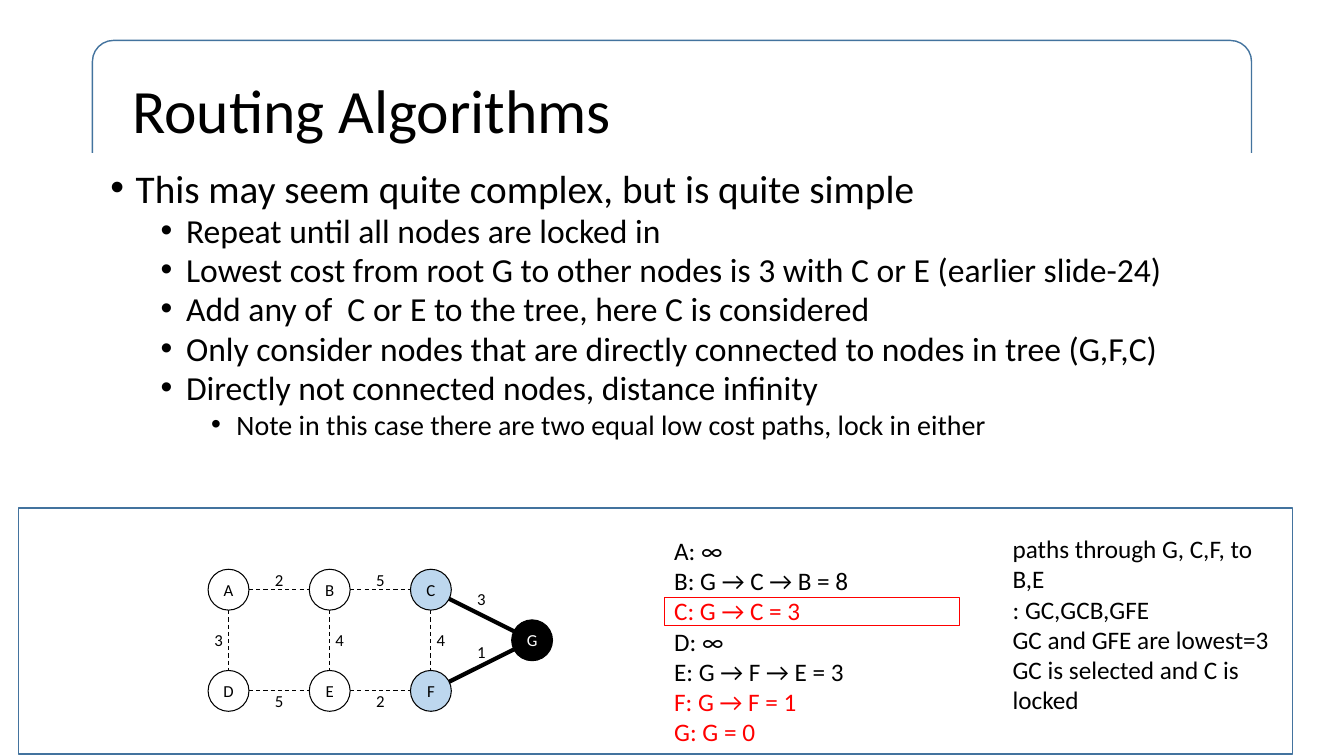
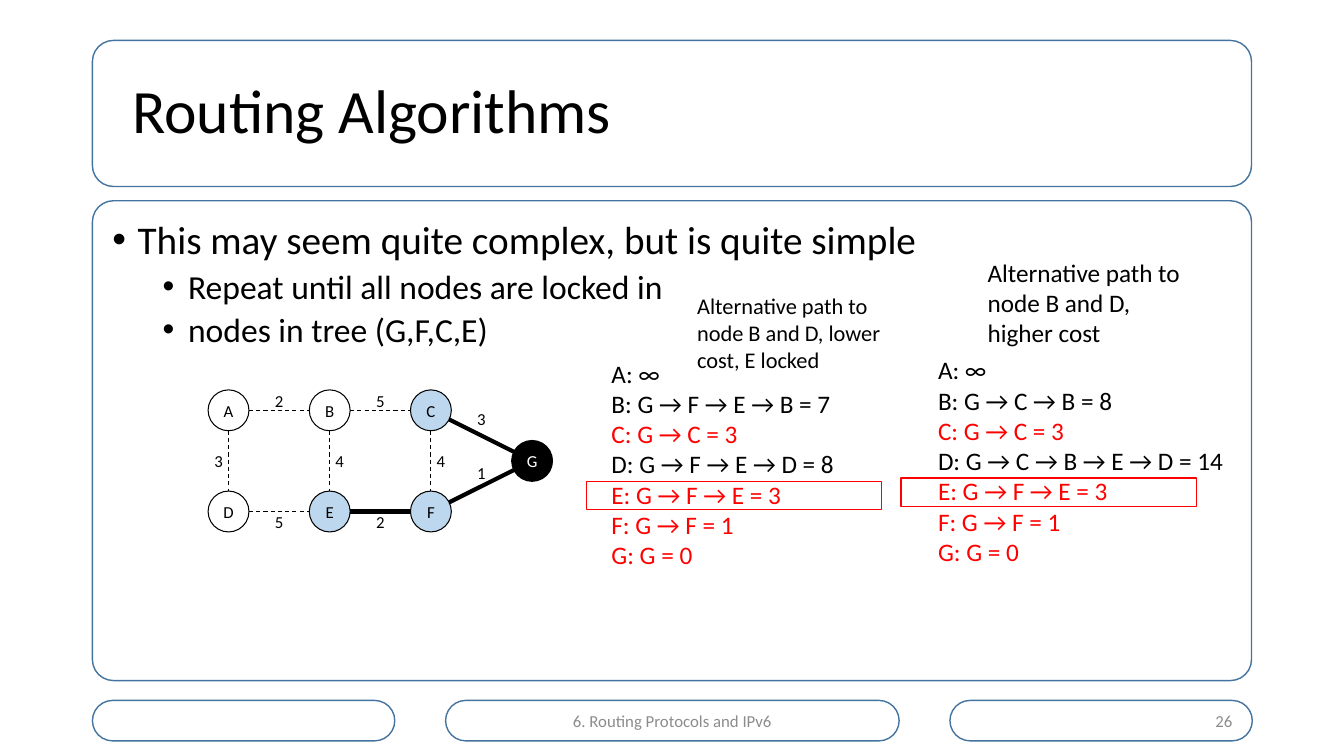
"""Build two slides that trace a shortest-path routing algorithm."""
import pptx
import pptx.dml.color
import pptx.enum.dml
import pptx.enum.shapes
import pptx.enum.text
import pptx.oxml
import pptx.oxml.ns
import pptx.util
from lxml import etree

Cm = pptx.util.Cm
Pt = pptx.util.Pt
Align = pptx.enum.text.PP_ALIGN
Anchor = pptx.enum.text.MSO_ANCHOR
Shape = pptx.enum.shapes.MSO_SHAPE
qn = pptx.oxml.ns.qn

FONT = "Calibri"
BLACK, WHITE, RED, GREY = "000000", "FFFFFF", "FF0000", "8C8C8C"
FRAME_LINE, VISITED = "43739E", "BDD7EE"

TITLE = "Routing Algorithms"
TITLE_FRAME = (2.33, 1.02, 29.21, 3.68)
BODY_FRAME = (2.33, 5.06, 29.21, 12.09)
FOOTERS = [
    (7.62, "", Align.LEFT),
    (11.43, "6. Routing Protocols and IPv6", Align.CENTER),
    (7.62, "26", Align.RIGHT),
]
FOOTER_TOP, FOOTER_HEIGHT, FOOTER_GAP = 17.65, 1.02, 1.28

LEVEL_SIZES = (28, 24, 20)
NODES = {
    "A": (0, 0), "B": (1, 0), "C": (2, 0), "D": (0, 1),
    "E": (1, 1), "F": (2, 1), "G": (3, 0.5),
}
EDGES = [
    ("AB", "2", 0, -0.25), ("BC", "5", 0, -0.25),
    ("DE", "5", 0, 0.25), ("EF", "2", 0, 0.25),
    ("AD", "3", -0.25, 0), ("BE", "4", 0.25, 0), ("CF", "4", 0.25, 0),
    ("CG", "3", 0, -0.42), ("FG", "1", 0, -0.35),
]
GRAPH_LEFT, NODE_STEP, NODE_SIZE = 5.76, 2.55, 1.03
ROUTE_SIZE, ROUTE_PITCH = (8.3, 5.64), 0.77
TEXT_INSETS = (0.25, 0.13)
HIGHLIGHT_SIZE = (7.44, 0.71)

SLIDES = [
    {
        "body": [
            (0, "This may seem quite complex, but is quite simple"),
            (1, "Repeat until all nodes are locked in"),
            (1, "Lowest cost from root G to other nodes is 3 with C or E (earlier slide-24)"),
            (1, "Add any of  C or E to the tree, here C is considered"),
            (1, "Only consider nodes that are directly connected to nodes in tree (G,F,C)"),
            (1, "Directly not connected nodes, distance infinity"),
            (2, "Note in this case there are two equal low cost paths, lock in either"),
        ],
        "body_box": (2.28, 3.86, 29.31, 8.94),
        "body_spacing": 0.8,
        "panel": (0.46, 12.8, 32.11, 6.2),
        "footers": [],
        "graph_top": 14.86,
        "locked": "CFG",
        "tree": ("CG", "FG"),
        "chosen": "C",
        "routes": [
            ((16.74, 13.36), 0,
             ["A: ∞", "B: G → C → B = 8", "C: G → C = 3", "D: ∞",
              "E: G → F → E = 3", "F: G → F = 1", "G: G = 0"]),
        ],
        "notes": [
            ((25.27, 13.31, 7.32, 4.88), 18,
             ["paths through G, C,F, to B,E", ": GC,GCB,GFE",
              "GC and GFE are lowest=3", "GC is selected and C is locked"]),
        ],
    },
    {
        "body": [
            (0, "This may seem quite complex, but is quite simple"),
            (1, "Repeat until all nodes are locked in"),
            (1, "nodes in tree (G,F,C,E)"),
        ],
        "body_box": None,
        "body_spacing": 0.9,
        "panel": None,
        "footers": FOOTERS,
        "graph_top": 10.34,
        "locked": "CEFG",
        "tree": ("CG", "FG", "EF"),
        "chosen": "E",
        "routes": [
            ((23.39, 8.81), -0.68,
             ["A: ∞", "B: G → C → B = 8", "C: G → C = 3",
              "D: G → C → B → E → D = 14", "E: G → F → E = 3",
              "F: G → F = 1", "G: G = 0"]),
            ((15.16, 8.89), -0.38,
             ["A: ∞", "B: G → F → E → B = 7", "C: G → C = 3",
              "D: G → F → E → D = 8", "E: G → F → E = 3",
              "F: G → F = 1", "G: G = 0"]),
        ],
        "notes": [
            ((24.64, 6.35, 5.49, 2.57), 18,
             ["Alternative path to node B and D, higher cost"]),
            ((17.32, 7.24, 5.49, 2.31), 16,
             ["Alternative path to node B and D, lower cost, E locked"]),
        ],
    },
]


def colour(value):
    return pptx.dml.color.RGBColor.from_string(value)


def lengths(values):
    return [Cm(value) for value in values]


def place(shape, box):
    shape.left, shape.top, shape.width, shape.height = lengths(box)


def set_frame(shape, insets, anchor, wrap=True):
    frame = shape.text_frame
    frame.auto_size = pptx.enum.text.MSO_AUTO_SIZE.NONE
    frame.word_wrap = wrap
    frame.vertical_anchor = anchor
    frame.margin_left = frame.margin_right = Cm(insets[0])
    frame.margin_top = frame.margin_bottom = Cm(insets[1])
    return frame


def next_paragraph(frame, index):
    return frame.add_paragraph() if index else frame.paragraphs[0]


def add_span(para, text, size, hue=BLACK):
    span = para.add_run()
    span.text = text
    span.font.name, span.font.size = FONT, Pt(size)
    span.font.color.rgb = colour(hue)


def add_box(page, kind, box, fill, line, width=1):
    shape = page.shapes.add_shape(kind, *lengths(box))
    shape.shadow.inherit = False
    if fill:
        shape.fill.solid()
        shape.fill.fore_color.rgb = colour(fill)
    else:
        shape.fill.background()
    shape.line.color.rgb = colour(line)
    shape.line.width = Pt(width)
    return shape


def add_rounded_frame(page, box):
    frame = add_box(page, Shape.ROUNDED_RECTANGLE, box, WHITE, FRAME_LINE)
    frame.adjustments[0] = min(0.5, 0.53 / box[3])
    fill = frame.element.spPr.find(qn("a:solidFill"))
    etree.SubElement(fill[0], qn("a:alpha"), val="72000")
    return frame


def add_lines(page, box, lines, size):
    """Add a text box whose lines are (text, colour) pairs."""
    shape = page.shapes.add_textbox(*lengths(box))
    frame = set_frame(shape, TEXT_INSETS, Anchor.TOP)
    for index, (text, hue) in enumerate(lines):
        add_span(next_paragraph(frame, index), text, size, hue)


def add_centred(shape, text, hue=BLACK):
    para = set_frame(shape, (0, 0), Anchor.MIDDLE, False).paragraphs[0]
    para.alignment = Align.CENTER
    add_span(para, text, 12, hue)


def prepare_layout(layout, page):
    """Give the layout its two frames and the matching placeholder positions."""
    for holder in list(layout.placeholders)[2:]:
        holder.element.getparent().remove(holder.element)
    first = layout.placeholders[0].element
    for holder, box in zip(layout.placeholders, (TITLE_FRAME, BODY_FRAME)):
        place(holder, box)
        first.addprevious(add_rounded_frame(page, box).element)


def fill_title(page):
    frame = set_frame(page.shapes.title, (1, 0.5), Anchor.MIDDLE)
    para = frame.paragraphs[0]
    para.alignment, para.line_spacing = Align.LEFT, 0.9
    add_span(para, TITLE, 44)


def fill_body(page, content):
    body = page.placeholders[1]
    if content["body_box"]:
        place(body, content["body_box"])
        body.fill.solid()
        body.fill.fore_color.rgb = colour(WHITE)
    frame = set_frame(body, (0.5, 0.5), Anchor.TOP)
    for index, (level, text) in enumerate(content["body"]):
        para = next_paragraph(frame, index)
        para.level = level
        properties = para._p.get_or_add_pPr()
        properties.set("marL", str(Cm(0.64 + 1.27 * level)))
        properties.set("indent", str(Cm(-0.64)))
        etree.SubElement(properties, qn("a:buFont"), typeface="Arial")
        etree.SubElement(properties, qn("a:buChar"), char="•")
        para.line_spacing = content["body_spacing"]
        para.space_before = Pt(5 if index else 0)
        add_span(para, text, LEVEL_SIZES[level])


def add_footers(page, footers):
    left = TITLE_FRAME[0]
    for width, text, alignment in footers:
        shape = add_rounded_frame(page, (left, FOOTER_TOP, width, FOOTER_HEIGHT))
        if text:
            para = set_frame(shape, (0.35, 0.13), Anchor.MIDDLE).paragraphs[0]
            para.alignment = alignment
            add_span(para, text, 12, GREY)
        left += width + FOOTER_GAP


def add_edge(page, start, end, in_tree):
    """Draw an edge from rim to rim of two nodes given by their centres."""
    run, rise = end[0] - start[0], end[1] - start[1]
    share = NODE_SIZE / 2 / (run ** 2 + rise ** 2) ** 0.5
    ends = (start[0] + run * share, start[1] + rise * share,
            end[0] - run * share, end[1] - rise * share)
    edge = page.shapes.add_connector(
        pptx.enum.shapes.MSO_CONNECTOR.STRAIGHT, *lengths(ends))
    edge.line.color.rgb = colour(BLACK)
    edge.line.width = Pt(3 if in_tree else 0.75)
    if not in_tree:
        edge.line.dash_style = pptx.enum.dml.MSO_LINE.DASH
    etree.SubElement(edge.element.spPr, qn("a:effectLst"))


def add_graph(page, content):
    centres = {name: (GRAPH_LEFT + column * NODE_STEP,
                      content["graph_top"] + row * NODE_STEP)
               for name, (column, row) in NODES.items()}
    for pair, cost, shift_x, shift_y in EDGES:
        start, end = (centres[name] for name in pair)
        add_edge(page, start, end, pair in content["tree"])
        middle_x = (start[0] + end[0]) / 2 + shift_x
        middle_y = (start[1] + end[1]) / 2 + shift_y
        label = page.shapes.add_textbox(
            *lengths((middle_x - 0.24, middle_y - 0.26, 0.48, 0.52)))
        add_centred(label, cost)
    for name, (x, y) in centres.items():
        fill = VISITED if name in content["locked"] else WHITE
        if name == "G":
            fill = BLACK
        box = (x - NODE_SIZE / 2, y - NODE_SIZE / 2, NODE_SIZE, NODE_SIZE)
        node = add_box(page, Shape.OVAL, box, fill, BLACK, 0.75)
        add_centred(node, name, WHITE if name == "G" else BLACK)


def add_routes(page, content):
    """List the routes and outline the row of the node chosen in this step."""
    for (left, top), shift, routes in content["routes"]:
        lines = [(route, RED if route[0] in content["locked"] else BLACK)
                 for route in routes]
        add_lines(page, (left, top) + ROUTE_SIZE, lines, 18)
        row = [route[0] for route in routes].index(content["chosen"])
        middle = top + TEXT_INSETS[1] + (row + 0.5) * ROUTE_PITCH
        corner = (left + shift, middle - HIGHLIGHT_SIZE[1] / 2)
        add_box(page, Shape.RECTANGLE, corner + HIGHLIGHT_SIZE, None, RED)


def fill_page(page, content):
    fill_title(page)
    fill_body(page, content)
    if content["panel"]:
        add_box(page, Shape.RECTANGLE, content["panel"], WHITE, FRAME_LINE)
    add_footers(page, content["footers"])
    add_graph(page, content)
    add_routes(page, content)
    for box, size, texts in content["notes"]:
        add_lines(page, box, [(text, BLACK) for text in texts], size)


def main():
    deck = pptx.Presentation()
    deck.slide_width, deck.slide_height = Cm(33.87), Cm(19.05)
    layout = deck.slide_layouts[1]
    pages = [deck.slides.add_slide(layout) for content in SLIDES]
    prepare_layout(layout, pages[0])
    for page, content in zip(pages, SLIDES):
        fill_page(page, content)
    deck.save("out.pptx")


if __name__ == "__main__":
    main()
